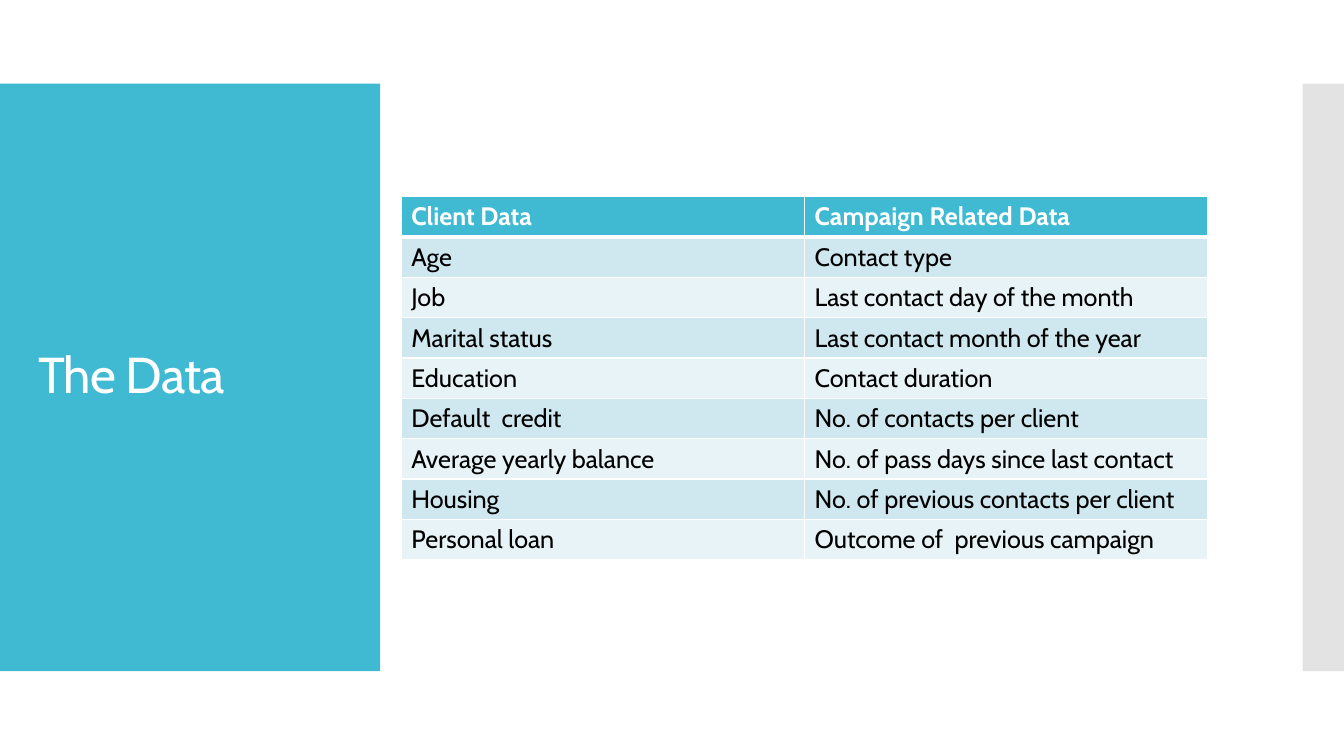
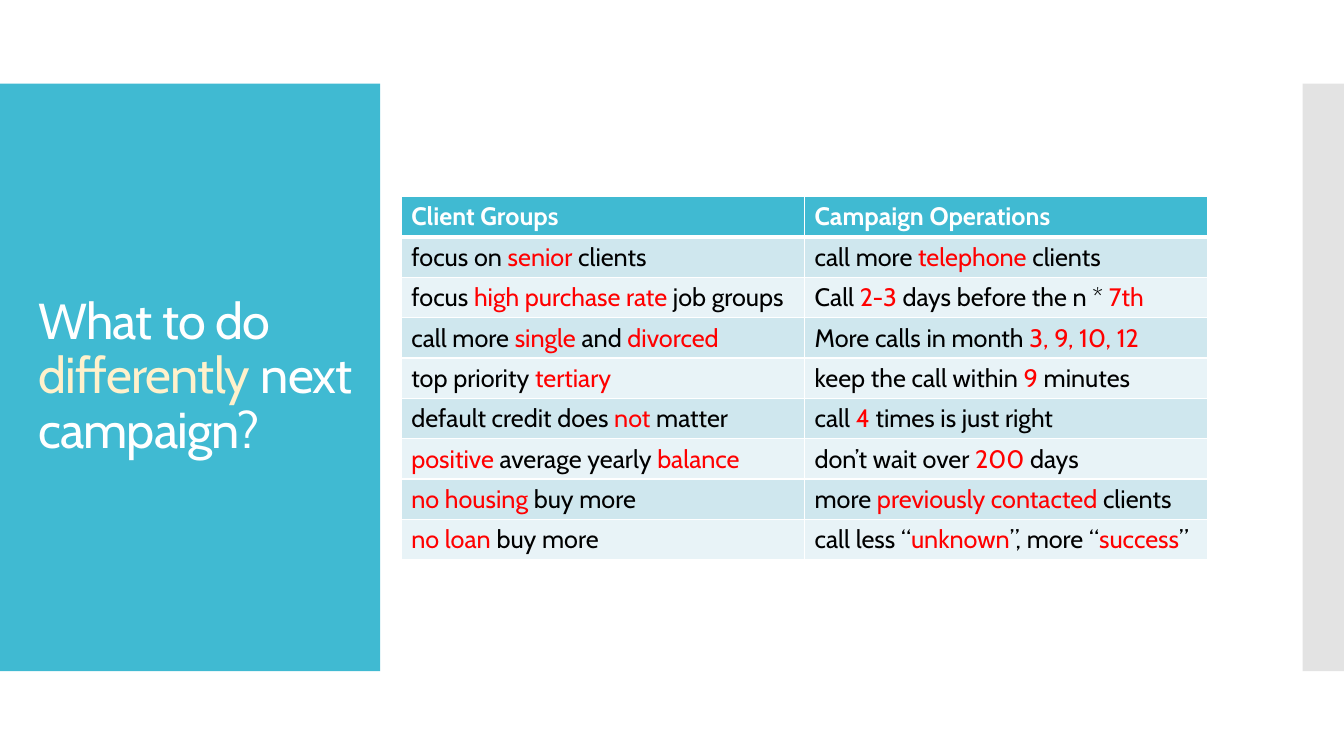
from dataclasses import dataclass

from lxml import etree
from pptx import Presentation
from pptx.dml.color import RGBColor
from pptx.enum.shapes import MSO_SHAPE
from pptx.enum.text import MSO_ANCHOR
from pptx.oxml.ns import qn
from pptx.util import Inches, Pt

RECTANGLE = MSO_SHAPE.RECTANGLE
MIDDLE = MSO_ANCHOR.MIDDLE

FONT = "Cabin"
TEAL = "40BAD2"
GREY = "C8C8C8"
WHITE = "FFFFFF"
BLACK = "000000"
RED = "FF0000"
CREAM = "FFF1CB"
ROW_FILLS = ("E8F3F7", "CFE7EE")
MARK = "|"


@dataclass(frozen=True)
class Band:
    left: float
    width: float
    color: str
    opacity: int = 100


@dataclass(frozen=True)
class TableSlide:
    title: str
    title_width: float
    rows: tuple[tuple[str, str], ...]


BANDS = (Band(0, 3.77, TEAL), Band(12.92, 0.42, GREY, 50))

SLIDES = (
    TableSlide("The Data", 3.22, (
        ("Client Data", "Campaign Related Data "),
        ("Age", "Contact type"),
        ("Job", "Last contact day of the month"),
        ("Marital status", "Last contact month of the year"),
        ("Education", "Contact duration"),
        ("Default  credit", "No. of contacts per client"),
        ("Average yearly balance", "No. of pass days since last contact"),
        ("Housing", "No. of previous contacts per client"),
        ("Personal loan", "Outcome of  previous campaign"),
    )),
    TableSlide("What to do |differently| next campaign?", 3.35, (
        ("Client Groups", "Campaign Operations"),
        ("focus on |senior |clients", "call more |telephone| clients"),
        ("focus |high purchase rate |job groups", "Call |2-3 |days before the n * |7th"),
        ("call more |single| and |divorced ", "More calls in month |3, 9, 10, 12"),
        ("top priority |tertiary ", "keep the call within |9| minutes"),
        ("default credit does |not| matter", "call |4 |times is just right "),
        ("|positive| average yearly |balance", "don’t wait over |200| days"),
        ("|no housing |buy more", "more |previously contacted |clients "),
        ("|no loan |buy more", "call less “|unknown|”, more “|success|”"),
    )),
)


def rgb(color: str) -> RGBColor:
    return RGBColor.from_string(color)


def add_band(page, band: Band) -> None:
    shape = page.shapes.add_shape(
        RECTANGLE, Inches(band.left), Inches(0.83), Inches(band.width), Inches(5.83))
    shape.shadow.inherit = False
    shape.line.fill.background()
    shape.fill.solid()
    shape.fill.fore_color.rgb = rgb(band.color)
    if band.opacity < 100:
        color = shape.fill._xPr.find(".//" + qn("a:srgbClr"))
        etree.SubElement(color, qn("a:alpha"), val=str(band.opacity * 1000))


def write_marked(para, text: str, size: float, color: str, accent: str,
                 bold: bool = False) -> None:
    for index, part in enumerate(text.split(MARK)):
        if not part:
            continue
        span = para.add_run()
        span.text = part
        span.font.name = FONT
        span.font.size = Pt(size)
        span.font.bold = bold
        span.font.color.rgb = rgb(accent if index % 2 else color)


def add_title(page, text: str, width: float) -> None:
    box = page.shapes.add_textbox(Inches(0.28), Inches(1.23), Inches(width), Inches(5.03))
    frame = box.text_frame
    frame.word_wrap = True
    frame.vertical_anchor = MIDDLE
    para = frame.paragraphs[0]
    para.line_spacing = 0.9
    write_marked(para, text, 36, WHITE, CREAM)
    for span in para.runs:
        span._r.get_or_add_rPr().set("spc", "-60")


def set_borders(cell, top: float, bottom: float) -> None:
    properties = cell._tc.get_or_add_tcPr()
    widths = {"lnL": 1, "lnR": 1, "lnT": top, "lnB": bottom}
    for index, (side, width) in enumerate(widths.items()):
        line = etree.Element(qn("a:" + side), w=str(Pt(width)))
        fill = etree.SubElement(line, qn("a:solidFill"))
        etree.SubElement(fill, qn("a:srgbClr"), val=WHITE)
        properties.insert(index, line)


def add_data_table(page, rows: tuple[tuple[str, str], ...]) -> None:
    table = page.shapes.add_table(
        len(rows), len(rows[0]), Inches(3.98), Inches(1.95),
        Inches(8), Inches(0.4 * len(rows))).table
    table.first_row = False
    table.horz_banding = False
    for row_index, row in enumerate(rows):
        header = row_index == 0
        for column_index, text in enumerate(row):
            cell = table.cell(row_index, column_index)
            cell.fill.solid()
            cell.fill.fore_color.rgb = rgb(TEAL if header else ROW_FILLS[row_index % 2])
            set_borders(cell, 3 if row_index == 1 else 1, 3 if header else 1)
            write_marked(cell.text_frame.paragraphs[0], text, 18,
                         WHITE if header else BLACK, RED, header)


def build_slide(deck, content: TableSlide) -> None:
    page = deck.slides.add_slide(deck.slide_layouts[6])
    for band in BANDS:
        add_band(page, band)
    add_title(page, content.title, content.title_width)
    add_data_table(page, content.rows)


def main() -> None:
    deck = Presentation()
    deck.slide_width = Inches(13.33)
    deck.slide_height = Inches(7.5)
    for content in SLIDES:
        build_slide(deck, content)
    deck.save("out.pptx")


main()
